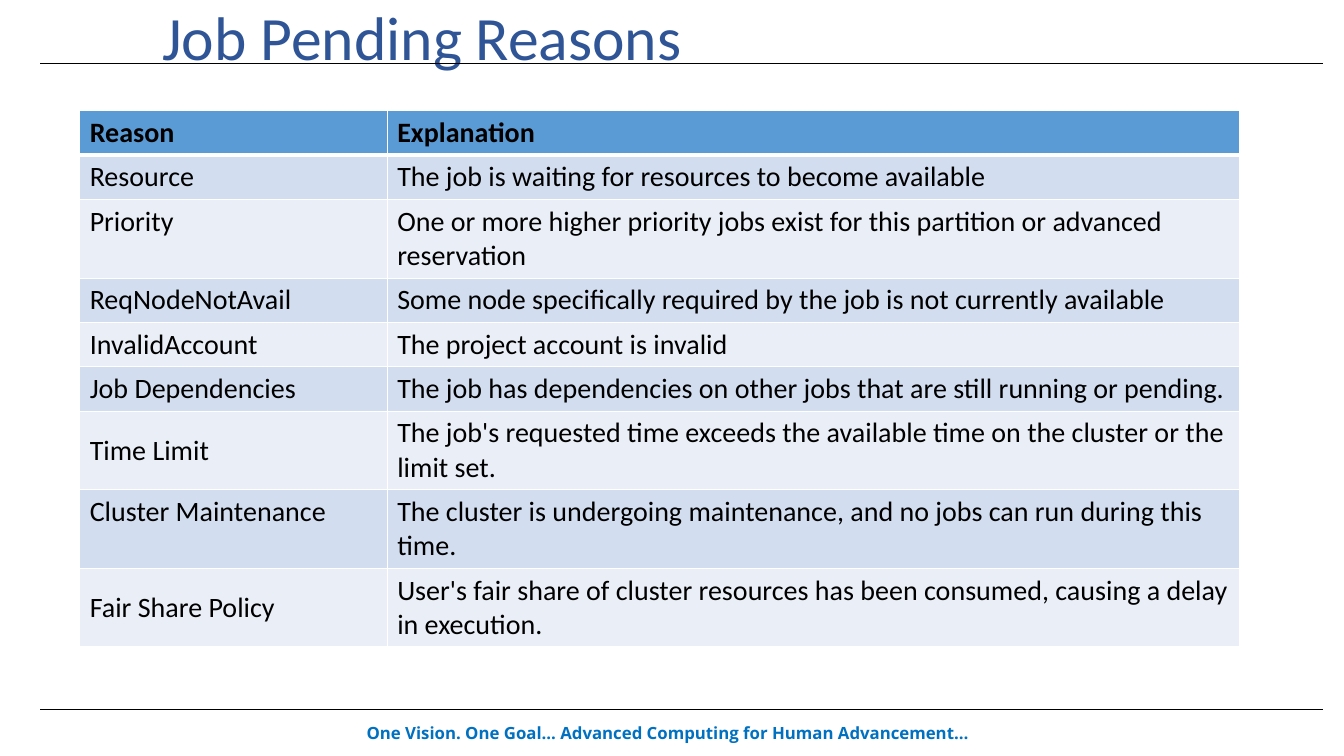
import pptx
import pptx.util
import pptx.dml.color
import pptx.enum.shapes
import pptx.enum.text
import pptx.oxml
import pptx.oxml.ns

Inches, Pt = pptx.util.Inches, pptx.util.Pt
RGBColor = pptx.dml.color.RGBColor
ANCHOR = pptx.enum.text.MSO_ANCHOR
ALIGN = pptx.enum.text.PP_ALIGN

TITLE = "Job Pending Reasons"
TAGLINE = "One Vision. One Goal... Advanced Computing for Human Advancement…"
REASONS = [
    ("Reason", "Explanation"),
    ("Resource", "The job is waiting for resources to become available"),
    ("Priority", "One or more higher priority jobs exist for this partition or advanced reservation"),
    ("ReqNodeNotAvail", "Some node specifically required by the job is not currently available"),
    ("InvalidAccount", "The project account is invalid"),
    ("Job Dependencies", "The job has dependencies on other jobs that are still running or pending."),
    ("Time Limit", "The job's requested time exceeds the available time on the cluster or the limit set."),
    ("Cluster Maintenance", "The cluster is undergoing maintenance, and no jobs can run during this time."),
    ("Fair Share Policy", "User's fair share of cluster resources has been consumed, causing a delay in execution."),
]
CENTERED = {"Job Dependencies", "Time Limit", "Fair Share Policy"}
COL_WIDTHS = (3.05, 8.45)
ONE_LINE, TWO_LINES = 0.44, 0.78
WRAP_AT = 75  # characters that fit on one line of the wide column
RULES_Y = (0.63, 7.04)

BLACK = RGBColor(0x00, 0x00, 0x00)
WHITE = RGBColor(0xFF, 0xFF, 0xFF)
NAVY = RGBColor(0x2F, 0x55, 0x97)
TAG_BLUE = RGBColor(0x00, 0x70, 0xC0)
HEADER_BLUE = RGBColor(0x5B, 0x9B, 0xD5)
BANDS = (RGBColor(0xEA, 0xEF, 0xF7), RGBColor(0xD2, 0xDE, 0xEF))

TITLE_FONT = {"name": "Calibri", "size": Pt(44), "bold": False}
TAG_FONT = {"name": "Open Sans", "size": Pt(12), "bold": True}
CELL_FONT = {"name": "Calibri", "size": Pt(20), "bold": False}


def write(tf, text, font, color):
    p = tf.paragraphs[0]
    r = p.add_run()
    r.text = text
    for name, value in font.items():
        setattr(r.font, name, value)
    r.font.color.rgb = color
    return p


def set_borders(cell, widths):
    """Give the cell a border of each width, keyed by side L, R, T, B."""
    tc_pr = cell._tc.get_or_add_tcPr()
    for side, width in widths.items():
        tc_pr.append(pptx.oxml.parse_xml(
            f'<a:ln{side} {pptx.oxml.ns.nsdecls("a")} w="{Pt(width)}">'
            f'<a:solidFill><a:srgbClr val="{WHITE}"/></a:solidFill></a:ln{side}>'))


def add_rule(s, y):
    line = s.shapes.add_connector(pptx.enum.shapes.MSO_CONNECTOR.STRAIGHT,
                                  Inches(0.4), Inches(y), Inches(13.12), Inches(y))
    line.line.color.rgb = BLACK
    line.line.width = Pt(0.5)
    line._element.spPr.append(pptx.oxml.parse_xml(
        f'<a:effectLst {pptx.oxml.ns.nsdecls("a")}/>'))


def add_tagline(s):
    sp = s.shapes.add_textbox(Inches(0.23), Inches(7.12), Inches(12.79), Inches(0.3))
    sp.text_frame.word_wrap = True
    write(sp.text_frame, TAGLINE, TAG_FONT, TAG_BLUE).alignment = ALIGN.CENTER


def add_title(s):
    sp = s.shapes.title
    sp.left, sp.top, sp.width, sp.height = map(Inches, (1.51, 0.09, 10.91, 0.63))
    tf = sp.text_frame
    tf.auto_size = pptx.enum.text.MSO_AUTO_SIZE.NONE
    tf.vertical_anchor = ANCHOR.MIDDLE
    p = write(tf, TITLE, TITLE_FONT, NAVY)
    p.alignment, p.line_spacing = ALIGN.LEFT, 0.9


def add_reasons(s):
    heights = [TWO_LINES if len(text) > WRAP_AT else ONE_LINE for _, text in REASONS]
    table = s.shapes.add_table(len(REASONS), len(COL_WIDTHS), Inches(0.79), Inches(1.1),
                               Inches(sum(COL_WIDTHS)), Inches(sum(heights))).table
    for column, width in zip(table.columns, COL_WIDTHS):
        column.width = Inches(width)
    for i, (row, texts, height) in enumerate(zip(table.rows, REASONS, heights)):
        row.height = Inches(height)
        for cell, text in zip(row.cells, texts):
            set_borders(cell, {"L": 1, "R": 1, "T": 3 if i == 1 else 1, "B": 3 if i == 0 else 1})
            cell.fill.solid()
            cell.fill.fore_color.rgb = BANDS[i % 2] if i else HEADER_BLUE
            cell.vertical_anchor = ANCHOR.MIDDLE if text in CENTERED else ANCHOR.TOP
            write(cell.text_frame, text, {**CELL_FONT, "bold": i == 0}, BLACK)


def main():
    prs = pptx.Presentation()
    prs.slide_width, prs.slide_height = Inches(13.33), Inches(7.5)
    s = prs.slides.add_slide(prs.slide_layouts[5])
    add_tagline(s)
    for y in RULES_Y:
        add_rule(s, y)
    add_title(s)
    add_reasons(s)
    prs.save("out.pptx")


if __name__ == "__main__":
    main()
